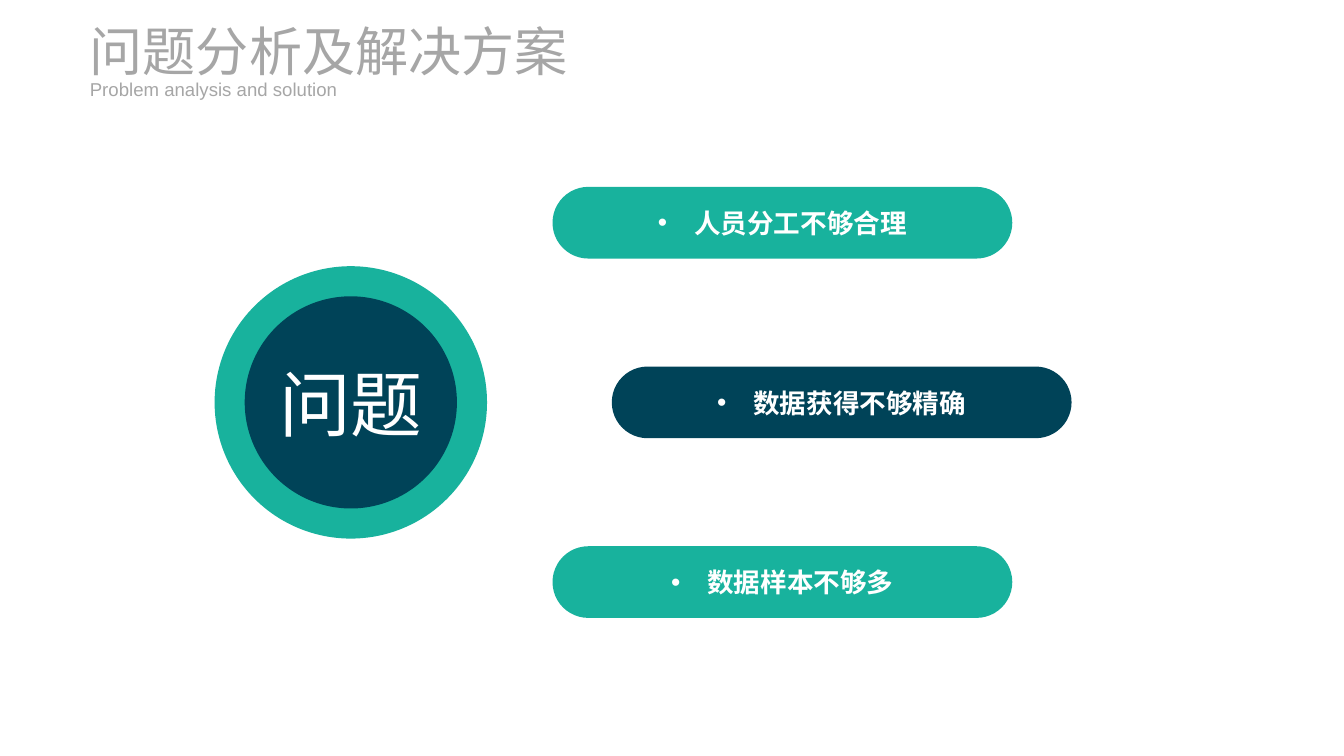
import pptx
import pptx.util
import pptx.dml.color
import pptx.enum.shapes
import pptx.enum.text
import pptx.oxml.ns
from lxml import etree
from pptx.dml.color import RGBColor
from pptx.util import Inches

TEAL = RGBColor(0x18, 0xB2, 0x9D)
NAVY = RGBColor(0x00, 0x43, 0x58)
GREY = RGBColor(0xA6, 0xA6, 0xA6)
WHITE = RGBColor(0xFF, 0xFF, 0xFF)

LEFT = pptx.enum.text.PP_ALIGN.LEFT
CENTER = pptx.enum.text.PP_ALIGN.CENTER
SHAPES = pptx.enum.shapes.MSO_SHAPE

MARGIN = 0.94
MIDDLE_X, MIDDLE_Y = 3.67, 4.21
PILL_WIDTH, PILL_HEIGHT, PILL_PITCH = 4.81, 0.75, 1.88
BULLET_INDENT = 0.38


class SlideBuilder:
    """Holds the font and the current slide."""

    def __init__(self, slide, font="Arial"):
        self.slide = slide
        self.font = font

    def set_text(self, box, text, size, color, align=LEFT, bold=False, bullet=False):
        frame = box.text_frame
        frame.word_wrap = True
        frame.auto_size = pptx.enum.text.MSO_AUTO_SIZE.NONE
        frame.vertical_anchor = pptx.enum.text.MSO_ANCHOR.MIDDLE
        frame.margin_left = frame.margin_right = 0
        frame.margin_top = frame.margin_bottom = 0
        para = frame.paragraphs[0]
        para.alignment = align
        if bullet:
            self.add_bullet(para)
        span = para.add_run()
        span.text = text
        span.font.name = self.font
        span.font.size = pptx.util.Pt(size)
        span.font.bold = bold
        span.font.color.rgb = color

    def add_bullet(self, para):
        properties = para._p.get_or_add_pPr()
        properties.set("marL", str(Inches(BULLET_INDENT)))
        properties.set("indent", str(-Inches(BULLET_INDENT)))
        for tag, key, value in (("a:buFont", "typeface", self.font),
                                ("a:buChar", "char", "•")):
            mark = etree.SubElement(properties, pptx.oxml.ns.qn(tag))
            mark.set(key, value)

    def title(self, text, left, top, width, height):
        box = self.slide.shapes.title
        box.left, box.top = Inches(left), Inches(top)
        box.width, box.height = Inches(width), Inches(height)
        self.set_text(box, text, 40, GREY)

    def label(self, text, left, top, width, height):
        box = self.slide.shapes.add_textbox(
            Inches(left), Inches(top), Inches(width), Inches(height))
        self.set_text(box, text, 14, GREY)

    def shape(self, kind, left, top, width, height, color):
        shape = self.slide.shapes.add_shape(
            kind, Inches(left), Inches(top), Inches(width), Inches(height))
        shape.shadow.inherit = False
        shape.fill.solid()
        shape.fill.fore_color.rgb = color
        shape.line.fill.background()
        return shape

    def circle(self, diameter, color):
        return self.shape(SHAPES.OVAL, MIDDLE_X - diameter / 2,
                          MIDDLE_Y - diameter / 2, diameter, diameter, color)

    def pill(self, text, left, top, color):
        pill = self.shape(SHAPES.ROUNDED_RECTANGLE, left, top,
                          PILL_WIDTH, PILL_HEIGHT, color)
        pill.adjustments[0] = 0.5
        self.set_text(pill, text, 20, WHITE, CENTER, bold=True, bullet=True)


def main():
    deck = pptx.Presentation()
    deck.slide_width, deck.slide_height = Inches(14.06), Inches(7.91)
    page = SlideBuilder(deck.slides.add_slide(deck.slide_layouts[5]))

    # Heading
    page.title("问题分析及解决方案", MARGIN, 0.19, 5.46, 0.67)
    page.label("Problem analysis and solution", MARGIN, 0.81, 3.07, 0.24)

    # Central topic
    page.circle(2.85, TEAL)
    topic = page.circle(2.22, NAVY)
    page.set_text(topic, "问题", 54, WHITE, CENTER)

    # Problems, spaced evenly around the topic's centre line
    problems = (
        ("人员分工不够合理", 5.78, TEAL),
        ("数据获得不够精确", 6.4, NAVY),
        ("数据样本不够多", 5.78, TEAL),
    )
    first_top = MIDDLE_Y - PILL_HEIGHT / 2 - PILL_PITCH
    for index, (text, left, color) in enumerate(problems):
        page.pill(text, left, first_top + index * PILL_PITCH, color)

    deck.save("out.pptx")


if __name__ == "__main__":
    main()
